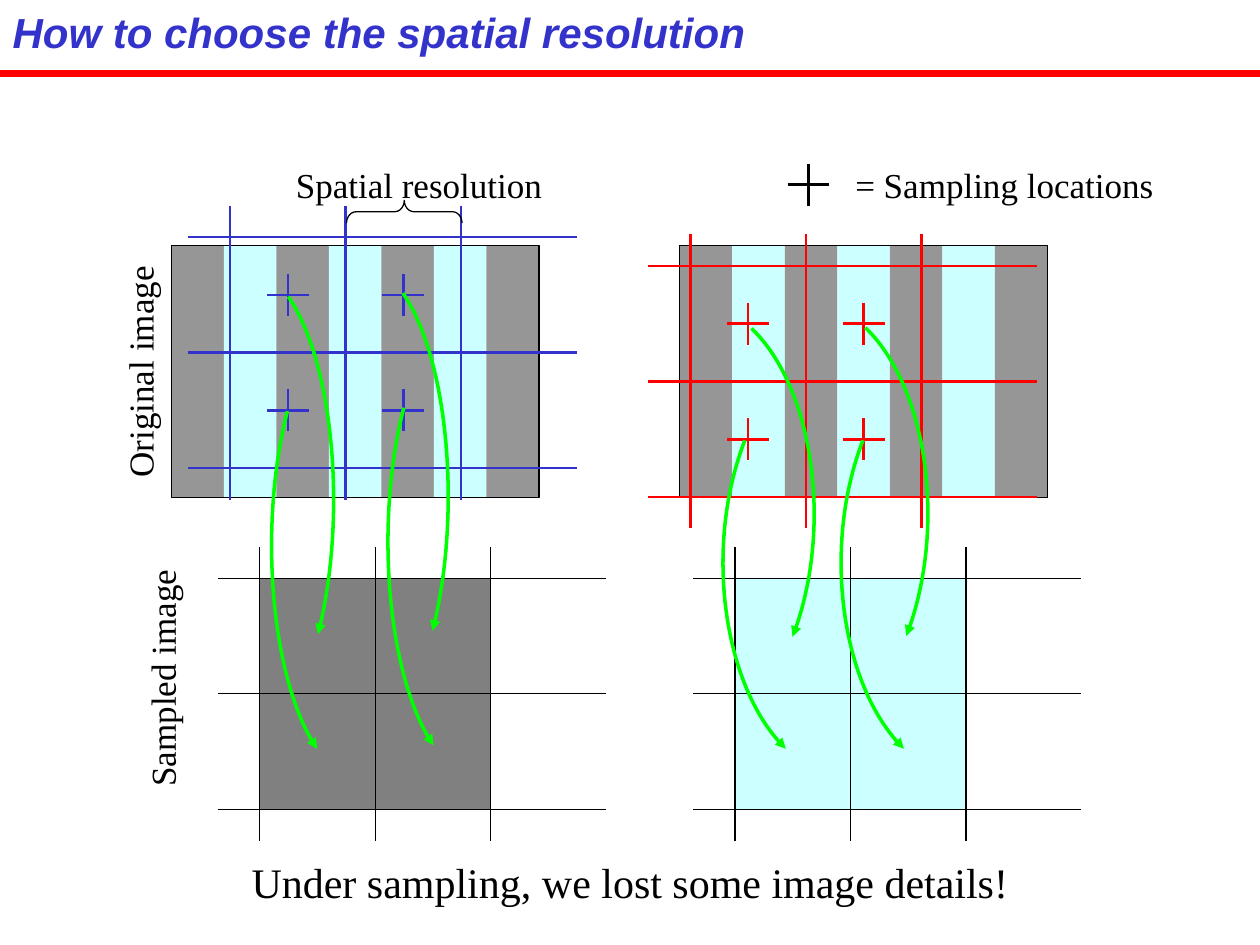
from dataclasses import dataclass
from math import cos, radians, sin, tan

from lxml import etree
from pptx import Presentation
from pptx.dml.color import RGBColor
from pptx.enum import shapes, text
from pptx.oxml import ns
from pptx import util as u


@dataclass(frozen=True)
class Theme:
    blue: str = "3333CC"
    red: str = "FF0000"
    green: str = "00FF00"
    black: str = "000000"
    stripe_gray: str = "969696"
    sample_gray: str = "808080"
    cyan: str = "CCFFFF"
    heading_font: str = "Arial"
    body_font: str = "Times New Roman"
    large: int = 24
    small: int = 20
    thin: float = 0.75
    medium: float = 1.5
    curve: float = 2
    rule: float = 4.5


@dataclass(frozen=True)
class Grid:
    left: float
    top: float
    color: str
    weight: float

    @property
    def origin(self) -> tuple[float, float]:
        return self.left + 24, self.top + 18


@dataclass(frozen=True)
class Sweep:
    left: float
    top: float
    width: float
    height: float
    flipped: bool = False


@dataclass(frozen=True)
class Label:
    words: str
    left: float
    top: float
    width: float
    height: float
    size: int
    rotation: float = 0


THEME = Theme()
CELL = 66
CROSS = 24
STRIPE_WIDTH, STRIPE_HEIGHT, STRIPE_COUNT = 30, 144, 7
STRIPES_TOP = 140.5

deck = Presentation()
deck.slide_width, deck.slide_height = u.Pt(720), u.Pt(540)
page = deck.slides.add_slide(deck.slide_layouts[5])


def add_line(x1: float, y1: float, x2: float, y2: float, color: str, weight: float) -> None:
    line = page.shapes.add_connector(
        shapes.MSO_CONNECTOR.STRAIGHT, u.Pt(x1), u.Pt(y1), u.Pt(x2), u.Pt(y2)
    )
    line.line.color.rgb = RGBColor.from_string(color)
    line.line.width = u.Pt(weight)
    etree.SubElement(line._element.spPr, ns.qn("a:effectLst"))


def add_block(left: float, top: float, width: float, height: float,
              fill: str | None = None, outline: str | None = None,
              kind=shapes.MSO_SHAPE.RECTANGLE):
    block = page.shapes.add_shape(kind, u.Pt(left), u.Pt(top), u.Pt(width), u.Pt(height))
    block.shadow.inherit = False
    if fill:
        block.fill.solid()
        block.fill.fore_color.rgb = RGBColor.from_string(fill)
    else:
        block.fill.background()
    if outline:
        block.line.color.rgb = RGBColor.from_string(outline)
        block.line.width = u.Pt(THEME.thin)
    else:
        block.line.fill.background()
    return block


def add_stripes(left: float) -> None:
    for index in range(STRIPE_COUNT):
        fill = THEME.cyan if index % 2 else THEME.stripe_gray
        add_block(left + index * STRIPE_WIDTH, STRIPES_TOP, STRIPE_WIDTH, STRIPE_HEIGHT, fill)
    add_block(left, STRIPES_TOP, STRIPE_COUNT * STRIPE_WIDTH, STRIPE_HEIGHT,
              outline=THEME.black)


def add_grid(grid: Grid) -> None:
    x, y = grid.origin
    for step in range(0, 3 * CELL, CELL):
        add_line(x + step, grid.top, x + step, grid.top + 168, grid.color, grid.weight)
        add_line(grid.left, y + step, grid.left + 222, y + step, grid.color, grid.weight)


def add_cross(x: float, y: float, color: str) -> None:
    half = CROSS / 2
    add_line(x, y - half, x, y + half, color, THEME.medium)
    add_line(x - half, y, x + half, y, color, THEME.medium)


def add_sampling_grid(grid: Grid) -> None:
    add_grid(grid)
    x, y = grid.origin
    for row in (0.5, 1.5):
        for column in (0.5, 1.5):
            add_cross(x + column * CELL, y + row * CELL, grid.color)


def add_sampled_cells(grid: Grid, fill: str) -> None:
    x, y = grid.origin
    for row in range(2):
        for column in range(2):
            add_block(x + column * CELL, y + row * CELL, CELL, CELL, fill)
    add_grid(grid)


def add_sweep(sweep: Sweep) -> None:
    start, end = (-62, 35) if sweep.flipped else (215, 118)
    start, end = radians(start), radians(end)
    reach = 4 / 3 * tan((end - start) / 4)
    unit_points = [
        (cos(start), sin(start)),
        (cos(start) - reach * sin(start), sin(start) + reach * cos(start)),
        (cos(end) + reach * sin(end), sin(end) - reach * cos(end)),
        (cos(end), sin(end)),
    ]
    points = [
        (u.Pt(sweep.left + sweep.width / 2 * (1 + x)),
         u.Pt(sweep.top + sweep.height / 2 * (1 + y)))
        for x, y in unit_points
    ]
    builder = page.shapes.build_freeform(*points[0])
    builder.add_line_segments(points[1:], close=False)
    curve = builder.convert_to_shape()
    curve.shadow.inherit = False
    curve.fill.background()
    curve.line.color.rgb = RGBColor.from_string(THEME.green)
    curve.line.width = u.Pt(THEME.curve)
    outline = curve._element.spPr.find(".//" + ns.qn("a:path"))
    bezier = etree.SubElement(outline, ns.qn("a:cubicBezTo"))
    for segment in outline.findall(ns.qn("a:lnTo")):
        bezier.append(segment[0])
        outline.remove(segment)
    etree.SubElement(curve.line._get_or_add_ln(), ns.qn("a:tailEnd"), type="triangle")


def write(box, words: str, size: int, font: str, color: str, align, strong: bool = False) -> None:
    frame = box.text_frame
    frame.word_wrap = False
    frame.auto_size = text.MSO_AUTO_SIZE.NONE
    frame.vertical_anchor = text.MSO_ANCHOR.TOP
    para = frame.paragraphs[0]
    para.alignment = align
    span = para.add_run()
    span.text = words
    span.font.size = u.Pt(size)
    span.font.name = font
    span.font.bold = span.font.italic = strong
    span.font.color.rgb = RGBColor.from_string(color)


def add_label(label: Label) -> None:
    box = page.shapes.add_textbox(
        u.Pt(label.left), u.Pt(label.top), u.Pt(label.width), u.Pt(label.height)
    )
    box.rotation = label.rotation
    write(box, label.words, label.size, THEME.body_font, THEME.black, text.PP_ALIGN.CENTER)


title = page.shapes.title
title.left, title.top, title.width, title.height = u.Pt(0), u.Pt(0), u.Pt(445), u.Pt(36)
write(title, "How to choose the spatial resolution", THEME.large, THEME.heading_font,
      THEME.blue, text.PP_ALIGN.LEFT, strong=True)
add_line(0, 42, 720, 42, THEME.red, THEME.rule)

for stripes_left in (98, 388.5):
    add_stripes(stripes_left)
add_sampling_grid(Grid(107.5, 117.5, THEME.blue, THEME.medium))
add_sampling_grid(Grid(370.5, 134, THEME.red, THEME.medium))
add_sampled_cells(Grid(124.5, 312.5, THEME.black, THEME.thin), THEME.sample_gray)
add_sampled_cells(Grid(396, 312.5, THEME.black, THEME.thin), THEME.cyan)
add_cross(462, 105.5, THEME.black)

for sweep in (
    Sweep(155.5, 178.5, 97, 265),
    Sweep(222, 176.5, 97, 265),
    Sweep(93.5, 154, 97, 265, flipped=True),
    Sweep(159, 152, 97, 265, flipped=True),
    Sweep(413.5, 200, 134, 242),
    Sweep(481, 200, 134, 242),
    Sweep(331, 173.5, 134, 242, flipped=True),
    Sweep(396, 173, 134, 242, flipped=True),
):
    add_sweep(sweep)

brace = add_block(224.5, 88, 13, 66, outline=THEME.black, kind=shapes.MSO_SHAPE.LEFT_BRACE)
brace.rotation = 90
brace.adjustments[0] = 0.42

for label in (
    Label("= Sampling locations", 481.5, 90, 185, 32, THEME.small),
    Label("Original image", 13, 196.5, 134.5, 32, THEME.small, 270),
    Label("Sampled image", 24, 371.5, 138, 32, THEME.small, 270),
    Label("Under sampling, we lost some image details!", 136.5, 486, 447, 36, THEME.large),
    Label("Spatial resolution", 162, 90, 155, 32, THEME.small),
):
    add_label(label)

deck.save("out.pptx")
